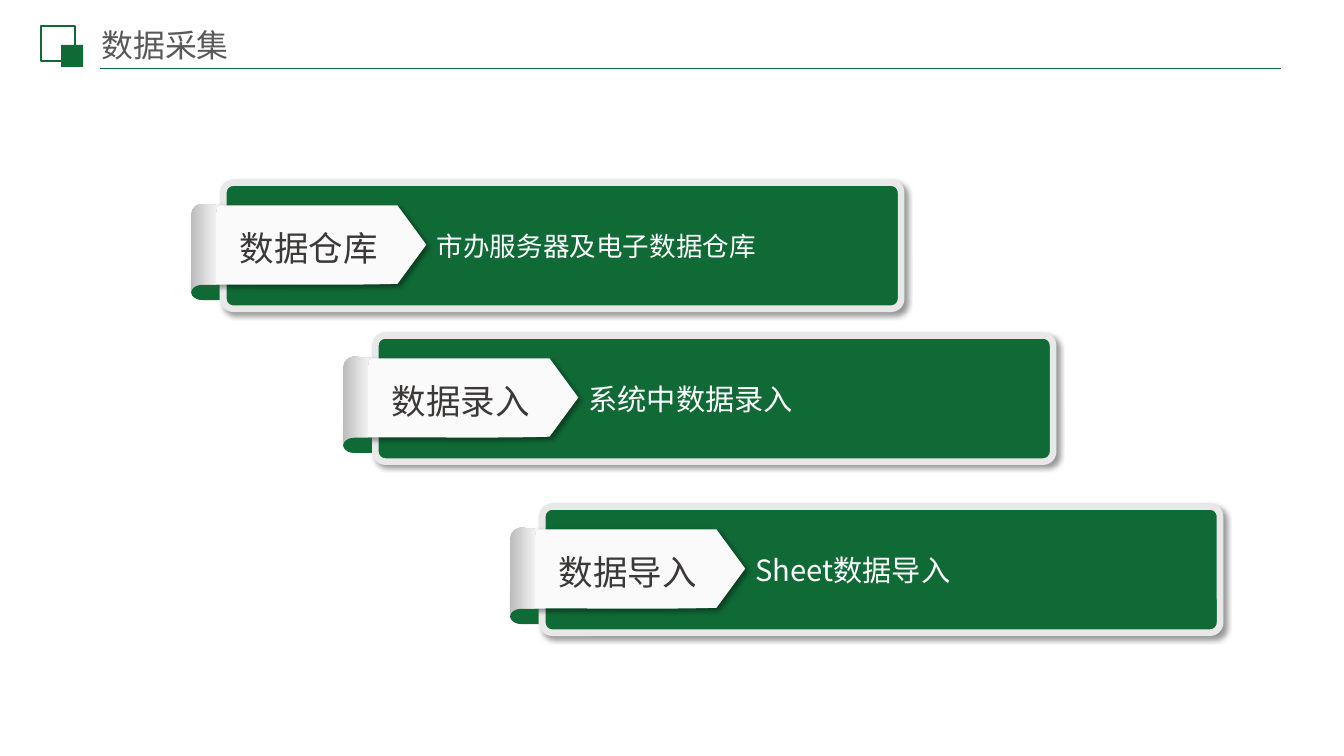
from lxml.etree import SubElement
from pptx import Presentation
from pptx.dml.color import RGBColor
from pptx.enum.shapes import MSO_CONNECTOR, MSO_SHAPE
from pptx.enum.text import MSO_ANCHOR, PP_ALIGN
from pptx.oxml.ns import qn
from pptx.util import Inches, Pt

WIDTH, HEIGHT = Inches(14.06), Inches(7.91)
# The grid has 100 columns and 100 rows
COL, ROW = WIDTH / 100, HEIGHT / 100
GREEN, PAPER, FRAME = "106A36", "FAFAFA", "E8E8E8"
WHITE, LABEL_GREY, TITLE_GREY = "FFFFFF", "3B3838", "595959"
CJK = "Noto Sans CJK SC"

# Outlines from a banner's corner: (x, y) is a point,
# six numbers are a curve's two handles and its end
ARROW = [(0.43, 3.67), (0.78, 3.03), (15.36, 3.03), (17.5, 8.22), (15.36, 13.4),
         (10.38, 13.65, 5.48, 13.4, 0.57, 13.53), (0, 14.29),
         (0, 10.49, 0.36, 7.33, 0.43, 3.67)]
ROLL = [(0, 4.17), (0, 3.41, 0.43, 2.78, 0.92, 2.78),
        (1.07, 2.91, 1.85, 2.91, 1.99, 3.03), (2.13, 3.29, 1.85, 2.28, 1.85, 4.17),
        (1.85, 14.16), (1.85, 14.92, 1.42, 15.55, 0.92, 15.55),
        (0.43, 15.55, 0, 14.92, 0, 14.16)]
FOLD = [(0.85, 13.53), (2.13, 13.53), (2.13, 15.55), (0.85, 15.55),
        (0.5, 15.55, 0.21, 15.3, 0.07, 14.92), (0, 14.54), (0.07, 14.16),
        (0.21, 13.78, 0.5, 13.53, 0.85, 13.53)]

# Left column, top row, label, description, description size
BANNERS = [
    (14.22, 24.15, "数据仓库", "市办服务器及电子数据仓库", 20),
    (25.53, 44.37, "数据录入", "系统中数据录入", 22),
    (37.95, 67, "数据导入", "Sheet数据导入", 22),
]


def rgb(code):
    return RGBColor.from_string(code)


def grid_box(left, top, width, height):
    return round(left * COL), round(top * ROW), round(width * COL), round(height * ROW)


def paint(sp, fill=None, line=None, width=1):
    sp.shadow.inherit = False
    if fill:
        sp.fill.solid()
        sp.fill.fore_color.rgb = rgb(fill)
    else:
        sp.fill.background()
    if line:
        sp.line.color.rgb = rgb(line)
        sp.line.width = Pt(width)
    else:
        sp.line.fill.background()


def drop_shadow(sp):
    effects = sp._element.spPr.find(qn("a:effectLst"))
    shadow = SubElement(effects, qn("a:outerShdw"), blurRad=str(Pt(4)), dist=str(Pt(3)),
                        dir=str(45 * 60000), algn="tl", rotWithShape="0")
    color = SubElement(shadow, qn("a:srgbClr"), val="000000")
    SubElement(color, qn("a:alpha"), val="40000")


def write(sp, text, size, color, font=CJK, align=PP_ALIGN.LEFT):
    tf = sp.text_frame
    tf.text = text
    tf.word_wrap = True
    tf.vertical_anchor = MSO_ANCHOR.MIDDLE
    p = tf.paragraphs[0]
    p.alignment = align
    r = p.runs[0]
    r.font.size = Pt(size)
    r.font.name = font
    r.font.color.rgb = rgb(color)
    SubElement(r.font._element, qn("a:ea"), typeface=CJK)


def add_box(shapes, kind, box, **style):
    sp = shapes.add_shape(kind, *grid_box(*box))
    paint(sp, **style)
    return sp


def add_outline(shapes, outline, left, top, fill):
    points = [((left + part[i]) * COL, (top + part[i + 1]) * ROW)
              for part in outline for i in range(0, len(part), 2)]
    builder = shapes.build_freeform(*points[0])
    builder.add_line_segments(points[1:], close=True)
    sp = builder.convert_to_shape()

    # Join each run of two handles and an end into one curve
    segments = iter(list(sp._element.iter(qn("a:lnTo"))))
    for part in outline[1:]:
        segment = next(segments)
        if len(part) == 6:
            segment.tag = qn("a:cubicBezTo")
            for _ in range(2):
                extra = next(segments)
                segment.append(extra[0])
                extra.getparent().remove(extra)
    paint(sp, fill)
    return sp


def add_header(slide, text):
    # Overlapping squares and the rule
    shapes = slide.shapes
    add_box(shapes, MSO_SHAPE.RECTANGLE, (3.06, 3.41, 2.56, 4.68), line=GREEN, width=1.5)
    add_box(shapes, MSO_SHAPE.RECTANGLE, (4.55, 5.94, 1.64, 2.91), fill=GREEN)
    y = round(9.07 * ROW)
    rule = shapes.add_connector(MSO_CONNECTOR.STRAIGHT, round(7.42 * COL), y,
                                round(95.31 * COL), y)
    rule.line.color.rgb = rgb(GREEN)
    rule.line.width = Pt(1.25)
    SubElement(rule._element.spPr, qn("a:effectLst"))

    # Title
    title = shapes.title
    title.left, title.top, title.width, title.height = grid_box(7.04, 3.72, 35.14, 4.93)
    write(title, text, 24, TITLE_GREY, font="Arial")
    tf = title.text_frame
    tf.margin_left = tf.margin_right = Inches(0.07)
    tf.margin_top = tf.margin_bottom = Inches(0.04)
    tf.paragraphs[0].line_spacing = 0.9


def add_banner(shapes, left, top, label, description, size):
    # Framed panel
    panel = add_box(shapes, MSO_SHAPE.ROUNDED_RECTANGLE, (left + 2.4, top, 50.43, 16.69),
                    fill=GREEN, line=FRAME, width=5)
    panel.adjustments[0] = 0.08
    drop_shadow(panel)

    # Paper ribbon: arrow, rolled edge and its underside
    arrow = add_outline(shapes, ARROW, left, top, PAPER)
    drop_shadow(arrow)
    write(arrow, label, 26, LABEL_GREY, align=PP_ALIGN.CENTER)
    roll = add_outline(shapes, ROLL, left, top, PAPER)
    roll.fill.gradient()
    roll.fill.gradient_angle = 0
    for stop, code in zip(roll.fill.gradient_stops, ("BCBCBC", "F9F9F9")):
        stop.color.rgb = rgb(code)
    add_outline(shapes, FOLD, left, top, GREEN)

    # Description
    box = shapes.add_textbox(*grid_box(left + 17.57, top + 1.52, 34.21, 13.78))
    write(box, description, size, WHITE)


def main():
    prs = Presentation()
    prs.slide_width, prs.slide_height = WIDTH, HEIGHT
    s = prs.slides.add_slide(prs.slide_layouts[5])
    add_header(s, "数据采集")
    for banner in BANNERS:
        add_banner(s.shapes, *banner)
    prs.save("out.pptx")


if __name__ == "__main__":
    main()
